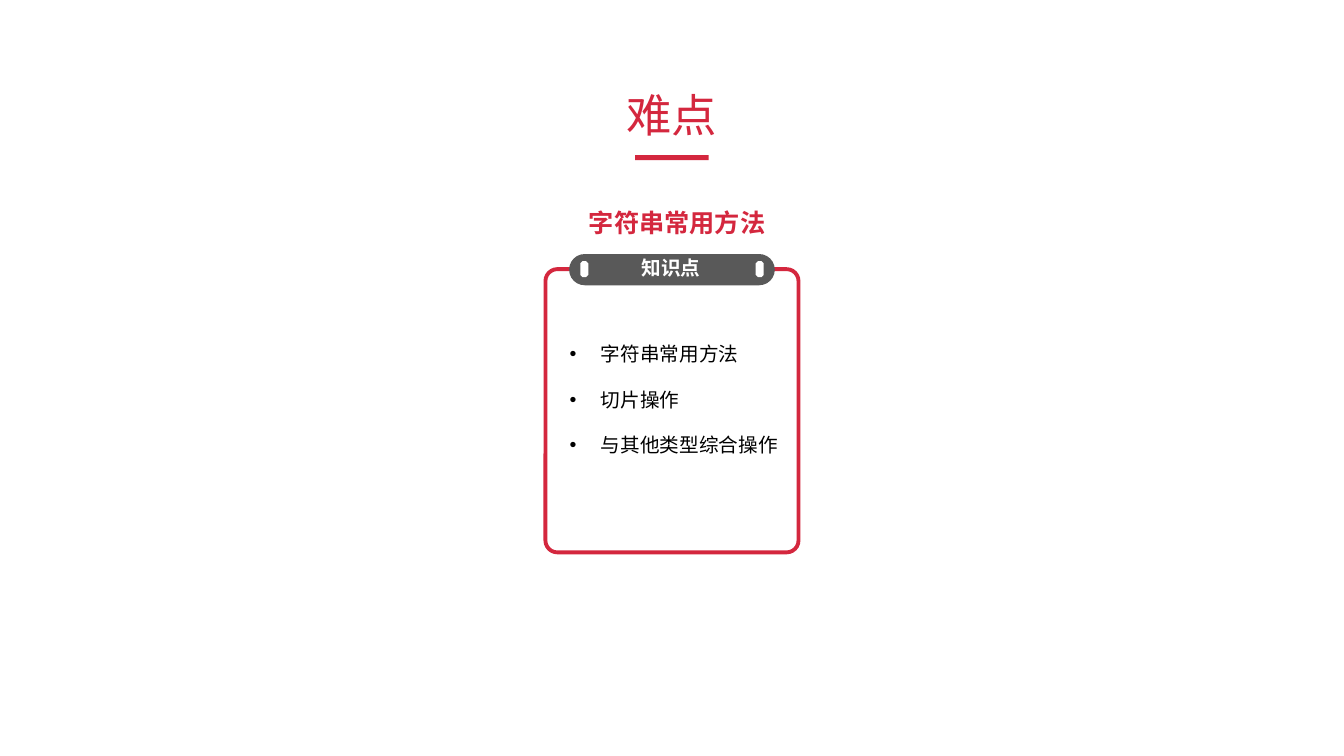
from lxml import etree
from pptx import Presentation
from pptx import util as u
from pptx.dml.color import RGBColor
from pptx.enum import shapes, text
from pptx.oxml import ns

RED = RGBColor(0xD4, 0x27, 0x3E)
GRAY = RGBColor(0x59, 0x59, 0x59)
WHITE = RGBColor(0xFF, 0xFF, 0xFF)
BLACK = RGBColor(0, 0, 0)
FONT = "Noto Sans CJK SC"
KIND = shapes.MSO_SHAPE


def place(item, box):
    """Move an item to a box of left, top, width and height in inches."""
    item.left, item.top, item.width, item.height = map(u.Inches, box)


def draw(slide, kind, box, fill=None, line=None, adj=None):
    """Add a flat preset shape."""
    item = slide.shapes.add_shape(kind, *map(u.Inches, box))
    item.shadow.inherit = False
    if fill is None:
        item.fill.background()
    else:
        item.fill.solid()
        item.fill.fore_color.rgb = fill
    if line is None:
        item.line.fill.background()
    else:
        item.line.color.rgb = line
        item.line.width = u.Pt(2.75)
    if adj is not None:
        item.adjustments[0] = adj
    return item


def write(item, lines, size, color, bold=False, align=text.PP_ALIGN.CENTER,
          anchor=text.MSO_ANCHOR.TOP, wrap=True, space=None, gap=0, bullet=False):
    """Fill an item with formatted paragraphs."""
    frame = item.text_frame
    frame.text = "\n".join(lines)
    frame.auto_size = text.MSO_AUTO_SIZE.NONE
    frame.word_wrap = wrap
    frame.vertical_anchor = anchor
    for para in frame.paragraphs:
        para.alignment = align
        para.line_spacing = space
        para.space_before = u.Pt(0)
        prop = para._p.get_or_add_pPr()
        if gap:
            before = prop.find(ns.qn("a:spcBef"))
            before.clear()
            etree.SubElement(before, ns.qn("a:spcPct"), val=str(gap * 1000))
        if bullet:
            prop.set("marL", str(u.Inches(0.31)))
            prop.set("indent", str(-u.Inches(0.31)))
            etree.SubElement(prop, ns.qn("a:buFont"), typeface="Arial")
            etree.SubElement(prop, ns.qn("a:buChar"), char="•")
        for run in para.runs:
            font = run.font
            font.size, font.bold, font.name = u.Pt(size), bold, FONT
            font.color.rgb = color
            etree.SubElement(run._r.get_or_add_rPr(), ns.qn("a:ea"), typeface=FONT)


def head(slide, box, title):
    """Set the slide title with a short bar centred below it."""
    left, top, width, height = box
    place(slide.shapes.title, box)
    write(slide.shapes.title, [title], 32.4, RED,
          anchor=text.MSO_ANCHOR.MIDDLE, space=0.9)
    draw(slide, KIND.RECTANGLE,
         (left + (width - 0.73) / 2, top + height + 0.06, 0.73, 0.05), RED)


def label(slide, box, words, **form):
    """Add a text box with one line of words."""
    item = slide.shapes.add_textbox(*map(u.Inches, box))
    write(item, [words], **form)


def card(slide, box, name, tag, points):
    """Draw a framed list with a name above and a tag on its top edge."""
    left, top, width, height = box
    label(slide, (left + 0.24, top - 0.66, 2.13, 0.4), name,
          size=18, color=RED, bold=True, gap=50)
    body = slide.placeholders[1]
    place(body, (left + 0.14, top + 0.56, 2.37, 1.4))
    write(body, points, 14, BLACK, align=text.PP_ALIGN.LEFT,
          space=1.5, gap=50, bullet=True)
    draw(slide, KIND.ROUNDED_RECTANGLE, box, line=RED, adj=0.047)
    wide, pin, edge = 2.04, 0.08, 0.11
    start = left + (width - wide) / 2
    draw(slide, KIND.ROUNDED_RECTANGLE, (start, top - 0.15, wide, 0.31), GRAY, adj=0.5)
    for spot in (start + edge, start + wide - edge - pin):
        draw(slide, KIND.OCTAGON, (spot, top - 0.08, pin, 0.16), WHITE, adj=0.293)
    label(slide, (left + 0.85, top - 0.18, 0.79, 0.34), tag,
          size=14, color=WHITE, bold=True, wrap=False)


def main():
    """Build and save the slide."""
    deck = Presentation()
    deck.slide_width, deck.slide_height = u.Inches(13.33), u.Inches(7.5)
    slide = deck.slides.add_slide(deck.slide_layouts[1])
    head(slide, (1.35, 0.86, 10.63, 0.62), "难点")
    card(slide, (5.41, 2.67, 2.51, 2.81), "字符串常用方法", "知识点",
         ["字符串常用方法", "切片操作", "与其他类型综合操作"])
    deck.save("out.pptx")


main()
